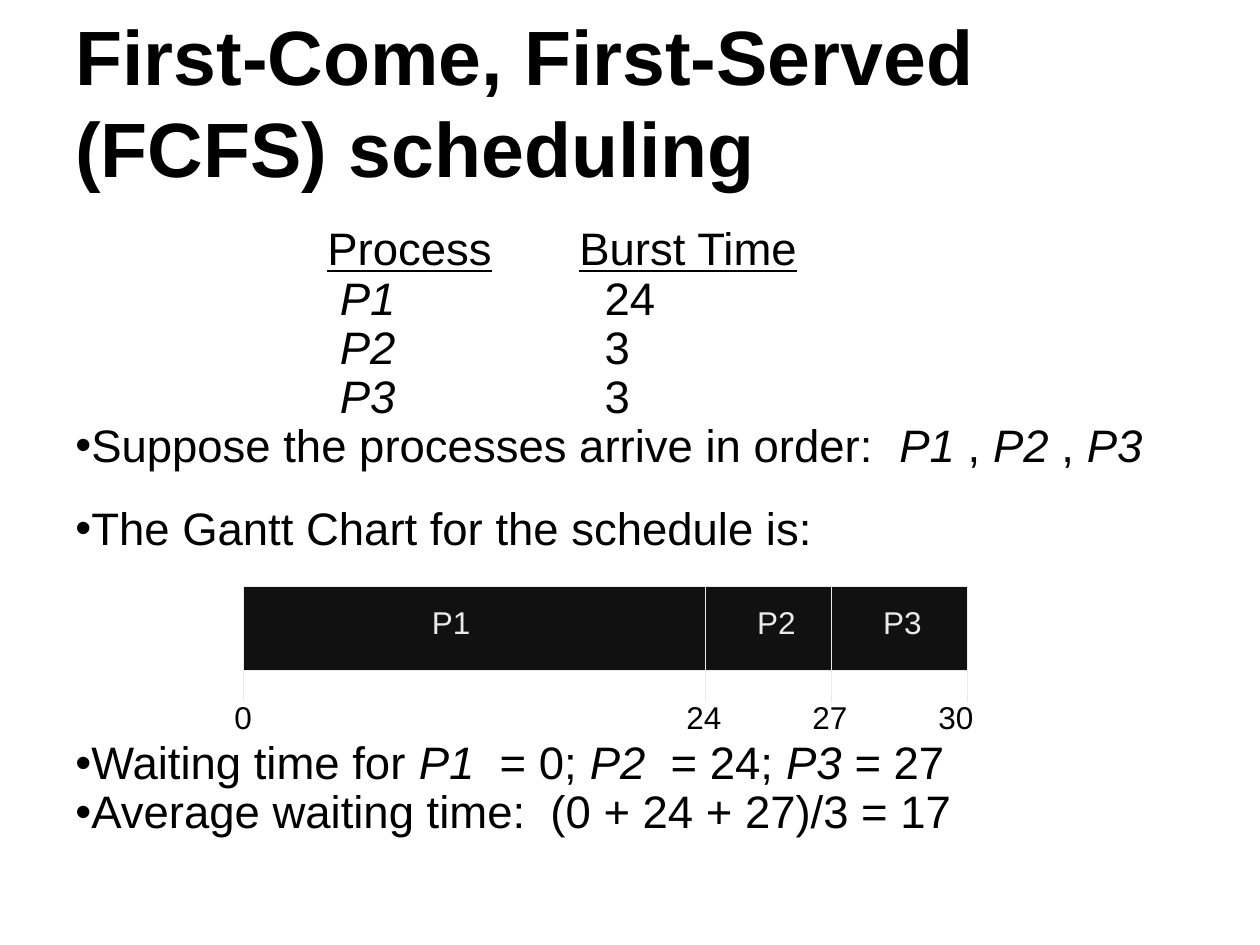
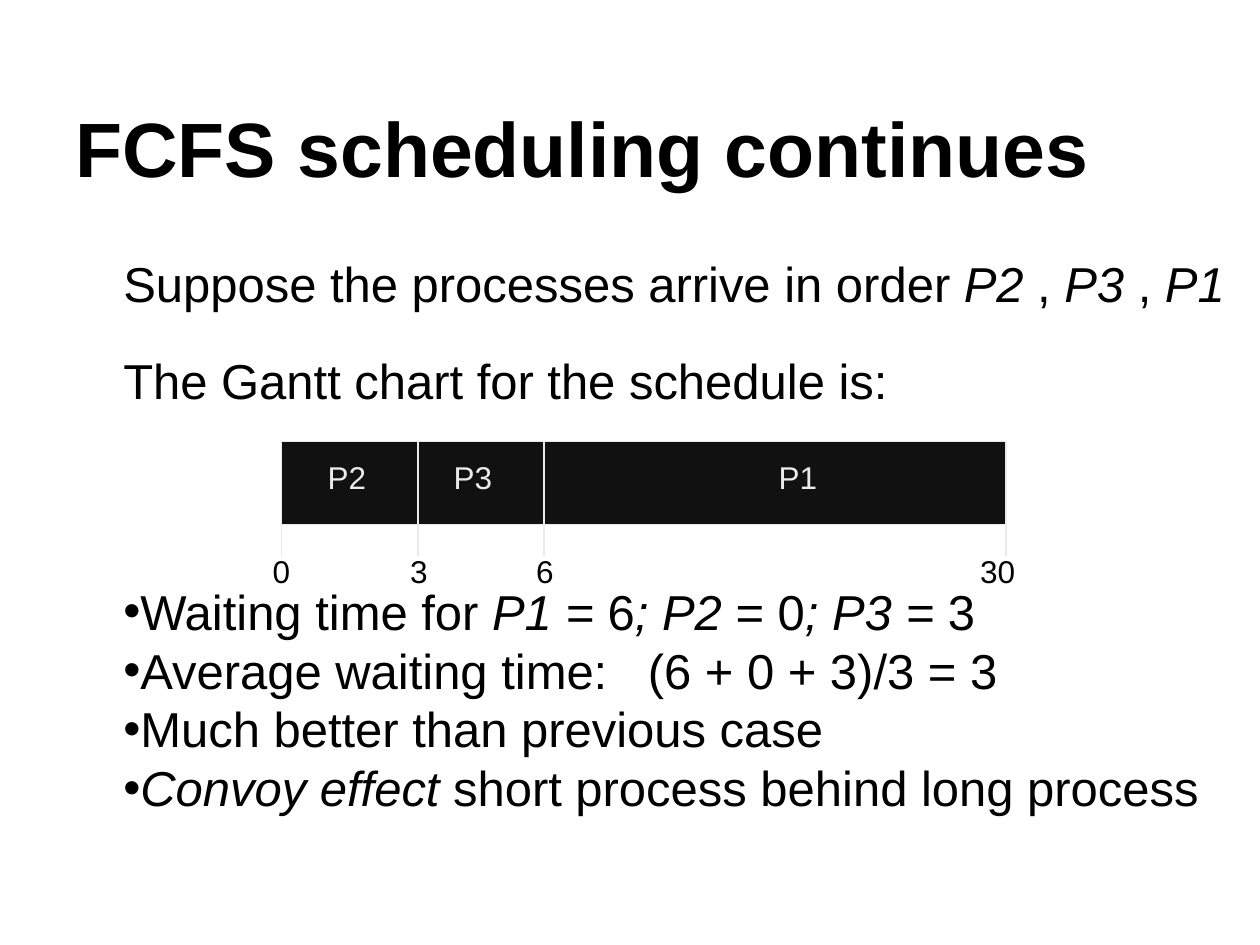
"""Build two slides on first-come, first-served scheduling."""
from lxml.etree import SubElement
from pptx import Presentation
from pptx.dml.color import RGBColor
from pptx.enum.shapes import MSO_CONNECTOR as Connector, MSO_SHAPE as Shape
from pptx.enum.text import MSO_ANCHOR as Anchor, PP_ALIGN as Align
from pptx.oxml.ns import qn
from pptx.util import Pt

INK = RGBColor(0x00, 0x00, 0x00)
BAR = RGBColor(0x11, 0x11, 0x11)
PALE = RGBColor(0xEA, 0xEA, 0xEA)
FONT = "Arial"
TITLE_BOX = (36, 24, 648, 90)
BAR_HEIGHT = 47.7
TICK_HEIGHT = 18
LABEL_WIDTH, LABEL_HEIGHT = 40, 28.8
NAME_DROP, TIME_DROP = 5.8, 59.8


def add_text(slide, box, text, *, size, color=INK, bold=False, align=Align.LEFT,
             anchor=Anchor.TOP, wrap=True, spacing=None):
    """Write one line of text, or a list of (text, format) paragraphs, in a box."""
    frame = slide.shapes.add_textbox(*map(Pt, box)).text_frame
    frame.word_wrap = wrap
    frame.vertical_anchor = anchor
    lines = [(text, {})] if isinstance(text, str) else text
    for index, (content, style) in enumerate(lines):
        paragraph = frame.add_paragraph() if index else frame.paragraphs[0]
        paragraph.alignment = align
        if spacing:
            paragraph.line_spacing = spacing
        format_paragraph(paragraph, **style)
        for part, words in enumerate(content.split("*")):
            if not words:
                continue
            run = paragraph.add_run()
            run.text = words
            font = run.font
            font.name, font.size, font.bold = FONT, Pt(size), bold
            font.color.rgb = color
            if part % 2:
                setattr(font, style.get("emphasis", "italic"), True)


def format_paragraph(paragraph, *, bullet=False, before=0, tabs=(), emphasis=None):
    """Set the gap above a paragraph, its bullet and its tab stops."""
    paragraph.space_before = Pt(before)
    properties = paragraph._p.get_or_add_pPr()
    if bullet:
        SubElement(properties, qn("a:buFont"), typeface=FONT)
        SubElement(properties, qn("a:buChar"), char="•")
    if tabs:
        stops = SubElement(properties, qn("a:tabLst"))
        for stop in tabs:
            SubElement(stops, qn("a:tab"), pos=str(Pt(stop)), algn="l")


def add_title(slide, title):
    """Write the slide title."""
    add_text(slide, TITLE_BOX, title, size=44, bold=True, anchor=Anchor.BOTTOM)


def add_rule(slide, x, top, height):
    """Draw a thin vertical line."""
    rule = slide.shapes.add_connector(
        Connector.STRAIGHT, Pt(x), Pt(top), Pt(x), Pt(top + height))
    rule.line.color.rgb = PALE
    rule.line.width = Pt(0.75)
    SubElement(rule._element.spPr, qn("a:effectLst"))


def add_label(slide, center, top, text, color):
    """Write a small label centred on a point."""
    box = (center - LABEL_WIDTH / 2, top, LABEL_WIDTH, LABEL_HEIGHT)
    add_text(slide, box, text, size=18, color=color, align=Align.CENTER,
             anchor=Anchor.MIDDLE, wrap=False)


def add_gantt(slide, left, top, jobs):
    """Draw jobs of (name, name centre, right edge, end time, time centre)."""
    width = jobs[-1][2]
    bar = slide.shapes.add_shape(
        Shape.RECTANGLE, Pt(left), Pt(top), Pt(width), Pt(BAR_HEIGHT))
    bar.shadow.inherit = False
    bar.fill.solid()
    bar.fill.fore_color.rgb = BAR
    bar.line.color.rgb = PALE
    bar.line.width = Pt(0.75)
    add_rule(slide, left, top + BAR_HEIGHT, TICK_HEIGHT)
    add_label(slide, left, top + TIME_DROP, "0", INK)
    for name, name_center, edge, end, end_center in jobs:
        add_label(slide, left + name_center, top + NAME_DROP, name, PALE)
        if edge < width:
            add_rule(slide, left + edge, top, BAR_HEIGHT)
        add_rule(slide, left + edge, top + BAR_HEIGHT, TICK_HEIGHT)
        add_label(slide, left + end_center, top + TIME_DROP, end, INK)


def build_long_job_first(slide):
    """Show the schedule in which the longest process arrives first."""
    add_title(slide, "First-Come, First-Served (FCFS) scheduling")
    burst_times = [("P1", 24), ("P2", 3), ("P3", 3)]
    header = ("\t*Process*\t*Burst Time*",
              {"tabs": (144, 288), "emphasis": "underline"})
    rows = [(f"\t*{process}*\t{burst}", {"tabs": (151.2, 302.4)})
            for process, burst in burst_times]
    points = [
        ("Suppose the processes arrive in order:  *P1* , *P2* , *P3*", {"bullet": True}),
        ("The Gantt Chart for the schedule is:", {"bullet": True, "before": 19.3}),
        ("Waiting time for *P1*  = 0; *P2*  = 24; *P3 *= 27",
         {"bullet": True, "before": 106}),
        ("Average waiting time:  (0 + 24 + 27)/3 = 17", {"bullet": True}),
    ]
    add_text(slide, (36, 126, 648, 396), [header, *rows, *points], size=26, spacing=0.9)
    add_gantt(slide, 139, 335.3, [
        ("P1", 118.8, 264, "24", 263.2),
        ("P2", 304.6, 336, "27", 335.2),
        ("P3", 376.6, 414, "30", 407.2),
    ])


def build_short_jobs_first(slide):
    """Show the schedule in which the short processes arrive first."""
    add_title(slide, "FCFS scheduling continues")
    points = [
        ("Suppose the processes arrive in order *P2* , *P3* , *P1*", {}),
        ("The Gantt chart for the schedule is:", {"before": 21.5}),
        ("Waiting time for *P1 =* 6*; P2* = 0*; P3 = *3", {"bullet": True, "before": 98.5}),
        ("Average waiting time:\t(6 + 0 + 3)/3 = 3", {"bullet": True, "tabs": (299.7,)}),
        ("Much better than previous case", {"bullet": True}),
        ("*Convoy effect* short process behind long process", {"bullet": True}),
    ]
    add_text(slide, (63.4, 141.4, 648, 356.4), points, size=28)
    add_gantt(slide, 160.8, 252.2, [
        ("P2", 37.4, 78, "3", 78.6),
        ("P3", 109.4, 150, "6", 150.6),
        ("P1", 295.2, 414, "30", 409.2),
    ])


def main():
    """Build and save the presentation."""
    deck = Presentation()
    deck.slide_width, deck.slide_height = Pt(720), Pt(540)
    for build in (build_long_job_first, build_short_jobs_first):
        build(deck.slides.add_slide(deck.slide_layouts[6]))
    deck.save("out.pptx")


if __name__ == "__main__":
    main()
